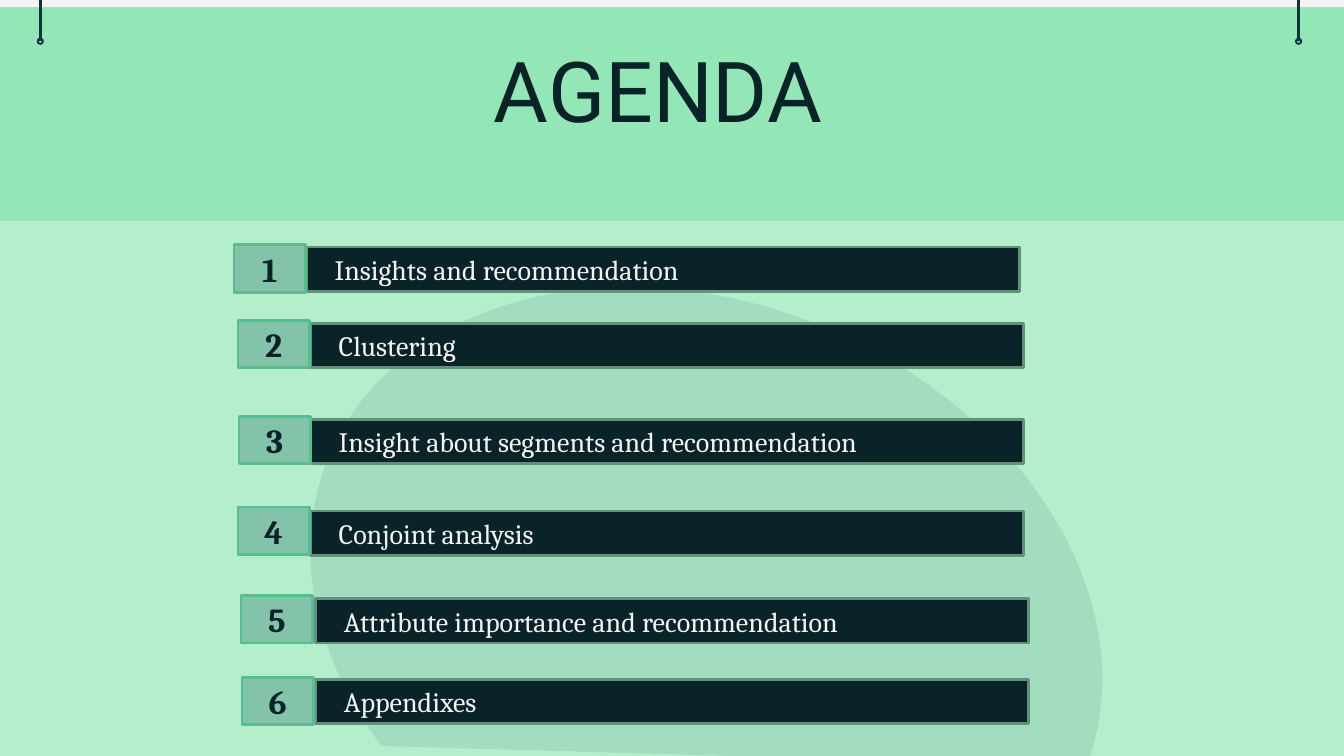
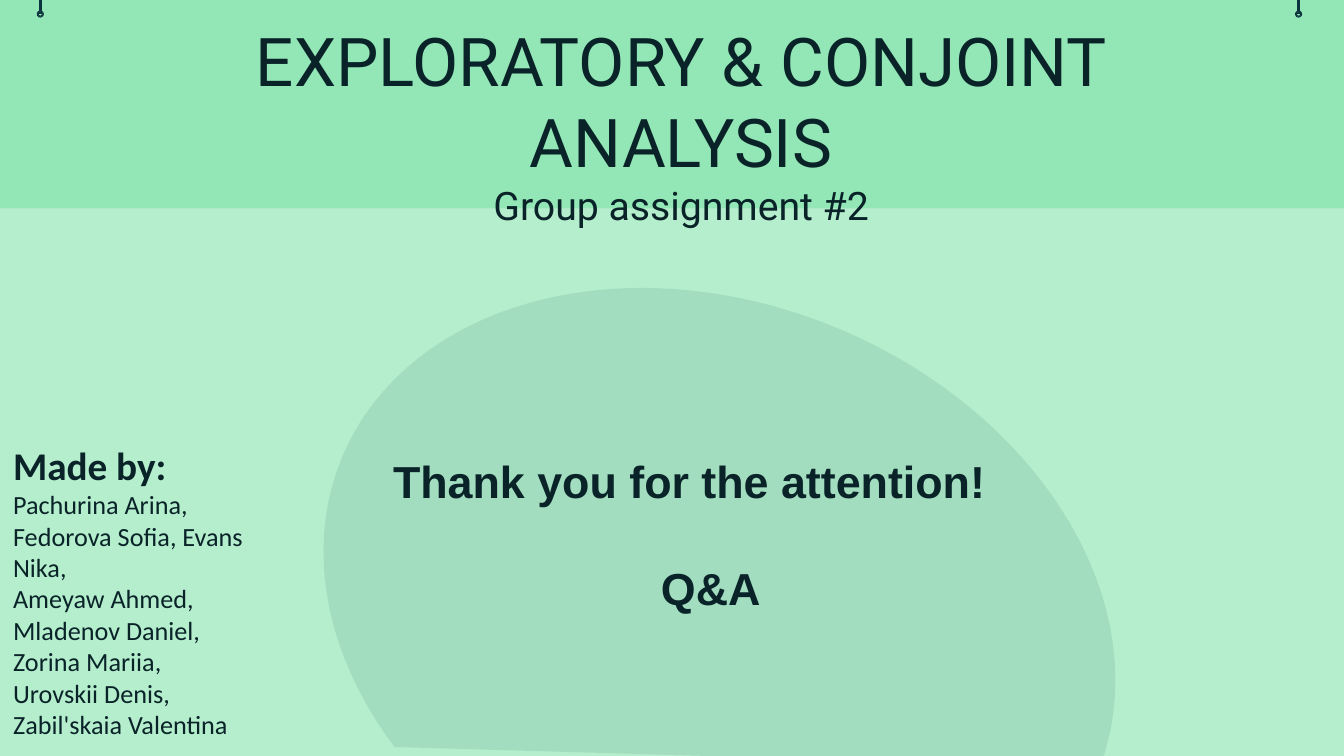
from dataclasses import dataclass

from lxml import etree
from pptx import Presentation
from pptx.dml.color import RGBColor
from pptx.enum.shapes import MSO_CONNECTOR, MSO_SHAPE
from pptx.enum.text import MSO_ANCHOR, MSO_AUTO_SIZE, PP_ALIGN
from pptx.oxml.ns import qn
from pptx.util import Inches, Pt

SLIDE_W, SLIDE_H = 13.33, 7.5
PAPER, MINT, GREEN, SAGE = "F3F3F3", "B5EECC", "93E6B5", "83C3A9"
INK, STRING = "092329", "0C343D"
BAR_EDGE, BADGE_EDGE = "61907D", "57BF8E"

TITLE = {"name": "Roboto", "size": Pt(60)}
LONG_TITLE = {"name": "Roboto", "size": Pt(48)}
SUBTITLE = {"name": "Roboto", "size": Pt(28)}
BAR_TEXT = {"name": "Cambria", "size": Pt(20)}
BADGE_TEXT = {"name": "Cambria", "size": Pt(24), "bold": True}
MADE_BY = {"name": "Calibri", "size": Pt(28), "bold": True}
AUTHORS = {"name": "Calibri", "size": Pt(18.7)}
CLOSING = {"name": "Arial", "size": Pt(32), "bold": True}


@dataclass(frozen=True)
class Line:
    text: str
    font: dict
    align: PP_ALIGN = PP_ALIGN.LEFT
    color: str = INK
    before: float = 0


@dataclass(frozen=True)
class AgendaItem:
    text: str
    bar_left: float
    bar_top: float
    badge_left: float
    badge_top: float


AGENDA = [
    AgendaItem("Insights and recommendation", 3.04, 2.45, 2.32, 2.43),
    AgendaItem("Clustering", 3.08, 3.21, 2.36, 3.18),
    AgendaItem("Insight about segments and recommendation", 3.08, 4.16, 2.37, 4.13),
    AgendaItem("Conjoint analysis", 3.08, 5.07, 2.36, 5.03),
    AgendaItem("Attribute importance and recommendation", 3.13, 5.94, 2.39, 5.91),
    AgendaItem("Appendixes", 3.13, 6.74, 2.4, 6.72),
]


def rgb(color: str) -> RGBColor:
    return RGBColor.from_string(color)


def inches(*lengths: float) -> list:
    return [Inches(length) for length in lengths]


def write(tf, lines: list[Line], anchor: MSO_ANCHOR, insets=(0.1, 0.05, 0.1, 0.05)) -> None:
    frame = dict(zip(("margin_left", "margin_top", "margin_right", "margin_bottom"),
                     inches(*insets)))
    frame.update(word_wrap=True, auto_size=MSO_AUTO_SIZE.NONE, vertical_anchor=anchor)
    for key, value in frame.items():
        setattr(tf, key, value)
    for i, line in enumerate(lines):
        p = tf.paragraphs[0] if i == 0 else tf.add_paragraph()
        p.alignment, p.space_before = line.align, Pt(line.before)
        r = p.add_run()
        r.text = line.text
        for key, value in line.font.items():
            setattr(r.font, key, value)
        r.font.color.rgb = rgb(line.color)


def add_box(slide, at: tuple, fill: str, edge: str = "", width: float = 2,
            kind: MSO_SHAPE = MSO_SHAPE.RECTANGLE):
    sp = slide.shapes.add_shape(kind, *inches(*at))
    sp.shadow.inherit = False
    sp.fill.solid()
    sp.fill.fore_color.rgb = rgb(fill)
    if edge:
        sp.line.color.rgb = rgb(edge)
        sp.line.width = Pt(width)
    else:
        sp.line.fill.background()
    return sp


def add_text(slide, at: tuple, lines: list[Line], anchor: MSO_ANCHOR, inset: float) -> None:
    tb = slide.shapes.add_textbox(*inches(*at))
    write(tb.text_frame, lines, anchor, (inset,) * 4)


def add_hanger(slide, x: float, y: float) -> None:
    """Draw a string from the top edge down to a small ring centred at x, y."""
    string = slide.shapes.add_connector(MSO_CONNECTOR.STRAIGHT, *inches(x, 0, x, y))
    string.line.color.rgb = rgb(STRING)
    string.line.width = Pt(1.75)
    etree.SubElement(string.element.spPr, qn("a:effectLst"))
    ring = add_box(slide, (x - 0.03, y - 0.03, 0.06, 0.06), GREEN, STRING, 0.75,
                   MSO_SHAPE.DONUT)
    ring.adjustments[0] = 0.15


def add_backdrop(slide, chord_at: tuple, band_top: float, band_h: float,
                 ring_y: float) -> None:
    add_box(slide, (0, 2.07, SLIDE_W, SLIDE_H - 2.07), MINT)
    chord = add_box(slide, (*chord_at, 6.17, 8.12), SAGE, kind=MSO_SHAPE.CHORD)
    chord.adjustments[0], chord.adjustments[1] = 27, 161.22
    chord.rotation = 113
    color = chord.element.spPr.find(qn("a:solidFill"))[0]
    etree.SubElement(color, qn("a:alpha"), val="38000")
    add_box(slide, (0, band_top, SLIDE_W, band_h), GREEN)
    for x in (0.4, 12.88):
        add_hanger(slide, x, ring_y)


def set_title(slide, at: tuple, lines: list[Line], inset: float) -> None:
    title = slide.shapes.title
    title.left, title.top, title.width, title.height = inches(*at)
    write(title.text_frame, lines, MSO_ANCHOR.MIDDLE, (inset,) * 4)
    # Bring the title in front of the band
    slide.shapes.element.append(title.element)


def add_agenda_item(slide, number: int, item: AgendaItem) -> None:
    bar = add_box(slide, (item.bar_left, item.bar_top, 7.07, 0.44), INK, BAR_EDGE)
    write(bar.text_frame, [Line(item.text, BAR_TEXT, color=PAPER)],
          MSO_ANCHOR.MIDDLE, (0.28, 0.05, 0.1, 0.05))
    badge = add_box(slide, (item.badge_left, item.badge_top, 0.71, 0.47), SAGE, BADGE_EDGE)
    write(badge.text_frame, [Line(str(number), BADGE_TEXT, PP_ALIGN.CENTER)],
          MSO_ANCHOR.MIDDLE)


def build_agenda(prs) -> None:
    s = prs.slides.add_slide(prs.slide_layouts[5])
    add_backdrop(s, (3.92, 2.04), 0.07, 2.12, 0.41)
    set_title(s, (0.64, 0.28, 11.77, 1.21), [Line("AGENDA", TITLE, PP_ALIGN.CENTER)], 0.1)
    for number, item in enumerate(AGENDA, 1):
        add_agenda_item(s, number, item)


def build_closing(prs) -> None:
    s = prs.slides.add_slide(prs.slide_layouts[5])
    add_backdrop(s, (4.05, 2.05), 0, 2.07, 0.14)
    add_text(s, (0, 3.75, 2.58, 3.72), [
        Line("Made by:", MADE_BY),
        Line("Pachurina Arina, Fedorova Sofia, Evans Nika,", AUTHORS),
        Line("Ameyaw Ahmed, Mladenov Daniel, Zorina Mariia, Urovskii Denis, "
             "Zabil'skaia Valentina", AUTHORS),
    ], MSO_ANCHOR.BOTTOM, 0.13)
    set_title(s, (0.87, 0.34, 11.77, 1.78), [
        Line("EXPLORATORY & CONJOINT ANALYSIS", LONG_TITLE, PP_ALIGN.CENTER),
        Line("Group assignment #2", SUBTITLE, PP_ALIGN.CENTER),
    ], 0.13)
    add_text(s, (3.8, 4.4, 6.5, 1.72), [
        Line("Thank you for the attention!", CLOSING),
        Line("Q&A", CLOSING, PP_ALIGN.CENTER, before=38),
    ], MSO_ANCHOR.TOP, 0.1)


def main() -> None:
    prs = Presentation()
    prs.slide_width, prs.slide_height = inches(SLIDE_W, SLIDE_H)
    background = prs.slide_master.background.fill
    background.solid()
    background.fore_color.rgb = rgb(PAPER)
    build_agenda(prs)
    build_closing(prs)
    prs.save("out.pptx")


if __name__ == "__main__":
    main()
